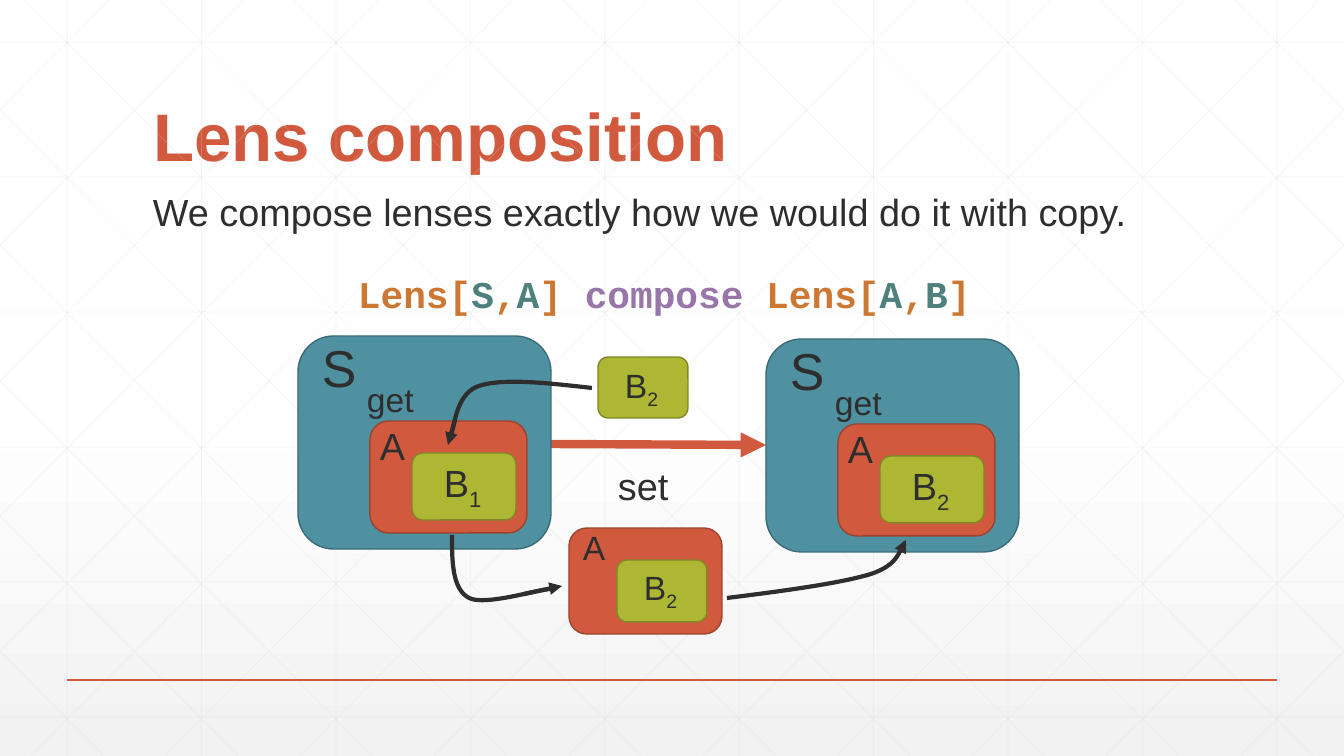
import pptx
import pptx.util
import pptx.dml.color
import pptx.enum.shapes
import pptx.enum.text
import pptx.oxml.ns
import lxml.etree

W, H = 1344, 756
EMU_PER_PX = 914400 / 100.8

COLORS = {
    "white": "FFFFFF", "shade": "F2F2F2", "grid": "D9D9D9", "ink": "2D2E2D",
    "red": "D15A3E", "red_edge": "9B432E", "teal": "4F91A1", "teal_edge": "3A6B77",
    "green": "AEB733", "green_edge": "818726",
    "code": "CC7832", "type": "4E807D", "keyword": "9876AA",
}

TITLE = "Lens composition"
SENTENCE = "We compose lenses exactly how we would do it with copy."
CODE = [("Lens[", "code"), ("S", "type"), (",", "code"), ("A", "type"), ("] ", "code"),
        ("compose", "keyword"), (" Lens[", "code"), ("A", "type"), (",", "code"),
        ("B", "type"), ("]", "code")]

STATE_BOXES = [("teal", (0, 0, 253, 213)), ("red", (72, 85, 157, 112)), ("green", (114, 117, 104, 67))]
STATE_LABELS = [("S", 37, (14, -5, 46, 73)), ("A", 27, (72, 82, 49, 56)),
                ("B", 27, (136, 119, 87, 56)), ("get", 24, (59, 38, 94, 50))]
PART_BOXES = [("red", (0, 0, 153, 106)), ("green", (48, 32, 90, 62))]
PART_LABELS = [("A", 24, (4, -6, 49, 50)), ("B", 24, (65, 34, 65, 50))]
VALUE_BOXES = [("green", (0, 0, 90, 61))]
VALUE_LABELS = [("B", 24, (17, 3, 65, 50))]

DIAGRAMS = [
    ((766, 339), "2", STATE_BOXES, STATE_LABELS),
    ((298, 336), "1", STATE_BOXES, STATE_LABELS),
    ((598, 357), "2", VALUE_BOXES, VALUE_LABELS),
    ((569, 528), "2", PART_BOXES, PART_LABELS),
]

CURVES = [
    ([(592, 388), (547, 383), (503, 378), (479, 386), (455, 394), (455, 428), (450, 438)],
     (455, 420, 448, 445)),
    ([(452, 535), (452, 561), (452, 589), (469, 598), (485, 606), (536, 590), (550, 589)],
     (524, 594, 562, 586)),
    ([(727, 598), (784, 591), (842, 583), (871, 574), (901, 564), (899, 548), (905, 543)],
     (900, 552, 906, 540)),
]


def px(n):
    return pptx.util.Emu(round(n * EMU_PER_PX))


def rgb(name):
    return pptx.dml.color.RGBColor.from_string(COLORS[name])


def add_run(p, text, size, color="ink", font="Arial", bold=False):
    r = p.add_run()
    r.text = text
    r.font.size = pptx.util.Pt(size)
    r.font.name = font
    r.font.bold = bold
    r.font.color.rgb = rgb(color)
    return r


def add_text(box):
    tb = slide.shapes.add_textbox(*map(px, box))
    tb.text_frame.word_wrap = True
    return tb.text_frame.paragraphs[0]


def add_xml(parent, tag, **attributes):
    lxml.etree.SubElement(parent, pptx.oxml.ns.qn(tag), attributes)


def add_line(ends, color, width, arrow=False, opacity=None):
    c = slide.shapes.add_connector(pptx.enum.shapes.MSO_CONNECTOR.STRAIGHT, *map(px, ends))
    c.line.width = pptx.util.Pt(width)
    c.line.color.rgb = rgb(color)
    spPr = c._element.spPr
    ln = spPr.find(pptx.oxml.ns.qn("a:ln"))
    if opacity:
        clr = ln.find(".//" + pptx.oxml.ns.qn("a:srgbClr"))
        add_xml(clr, "a:alpha", val=str(opacity * 1000))
    if arrow:
        add_xml(ln, "a:tailEnd", type="triangle")
    add_xml(spPr, "a:effectLst")


def add_box(color, box):
    sp = slide.shapes.add_shape(pptx.enum.shapes.MSO_SHAPE.ROUNDED_RECTANGLE, *map(px, box))
    sp.shadow.inherit = False
    sp.fill.solid()
    sp.fill.fore_color.rgb = rgb(color)
    sp.line.color.rgb = rgb(color + "_edge")
    sp.line.width = pptx.util.Pt(1)


def add_diagram(origin, index, boxes, labels):
    def place(box):
        return (origin[0] + box[0], origin[1] + box[1], box[2], box[3])

    for color, box in boxes:
        add_box(color, place(box))
    for text, size, box in labels:
        p = add_text(place(box))
        add_run(p, text, size)
        if text == "B":
            r = add_run(p, index, size)
            r._r.get_or_add_rPr().set("baseline", "-25000")


def cubic(a, b, c, d, t):
    u = 1 - t
    return tuple(px(u**3 * a[i] + 3 * u * u * t * b[i] + 3 * u * t * t * c[i] + t**3 * d[i])
                 for i in (0, 1))


def add_curve(points, steps=20):
    fb = slide.shapes.build_freeform(px(points[0][0]), px(points[0][1]))
    fb.add_line_segments([cubic(*points[k:k + 4], n / steps)
                          for k in range(0, len(points) - 1, 3)
                          for n in range(1, steps + 1)], close=False)
    sp = fb.convert_to_shape()
    sp.shadow.inherit = False
    sp.fill.background()
    sp.line.color.rgb = rgb("ink")
    sp.line.width = pptx.util.Pt(3)


def grid_lines():
    step, run = 134.4, 751
    slope = H / run
    for k in range(10):
        x = step / 2 + k * step
        yield x, 0, x, H
    for k in range(6):
        y = 42 + 135 * k
        yield 0, y, W, y
    for k in range(-5, 10):
        x = 25 + k * step
        x1, x2 = max(x, 0), min(x + run, W)
        y1, y2 = (x1 - x) * slope, (x2 - x) * slope
        yield x1, y1, x2, y2
        yield W - x1, y1, W - x2, y2


prs = pptx.Presentation()
prs.slide_width, prs.slide_height = px(W), px(H)
slide = prs.slides.add_slide(prs.slide_layouts[5])

fill = slide.background.fill
fill.gradient()
fill.gradient_angle = 270
for stop, color, position in zip(fill.gradient_stops, ("white", "shade"), (0.53, 1)):
    stop.color.rgb = rgb(color)
    stop.position = position

for ends in grid_lines():
    add_line(ends, "grid", 0.5, opacity=25)
add_line((67, 680, 1277, 680), "red", 1)

title = slide.shapes.title
title.left, title.top, title.width, title.height = map(px, (143, 55, 1058, 126))
tf = title.text_frame
tf.auto_size = pptx.enum.text.MSO_AUTO_SIZE.NONE
tf.vertical_anchor = pptx.enum.text.MSO_ANCHOR.BOTTOM
p = tf.paragraphs[0]
p.alignment = pptx.enum.text.PP_ALIGN.LEFT
p.line_spacing = 0.9
add_run(p, TITLE, 48, "red", bold=True)

add_run(add_text((143, 184, 1027, 56)), SENTENCE, 27)
p = add_text((348, 266, 663, 56))
for text, color in CODE:
    add_run(p, text, 27, color, "Courier New", True)

add_line((550, 444, 766, 445), "red", 6, arrow=True)
add_run(add_text((608, 458, 95, 56)), "set", 27)
for diagram in DIAGRAMS:
    add_diagram(*diagram)
for points, head in CURVES:
    add_curve(points)
    add_line(head, "ink", 3, arrow=True)

prs.save("out.pptx")
